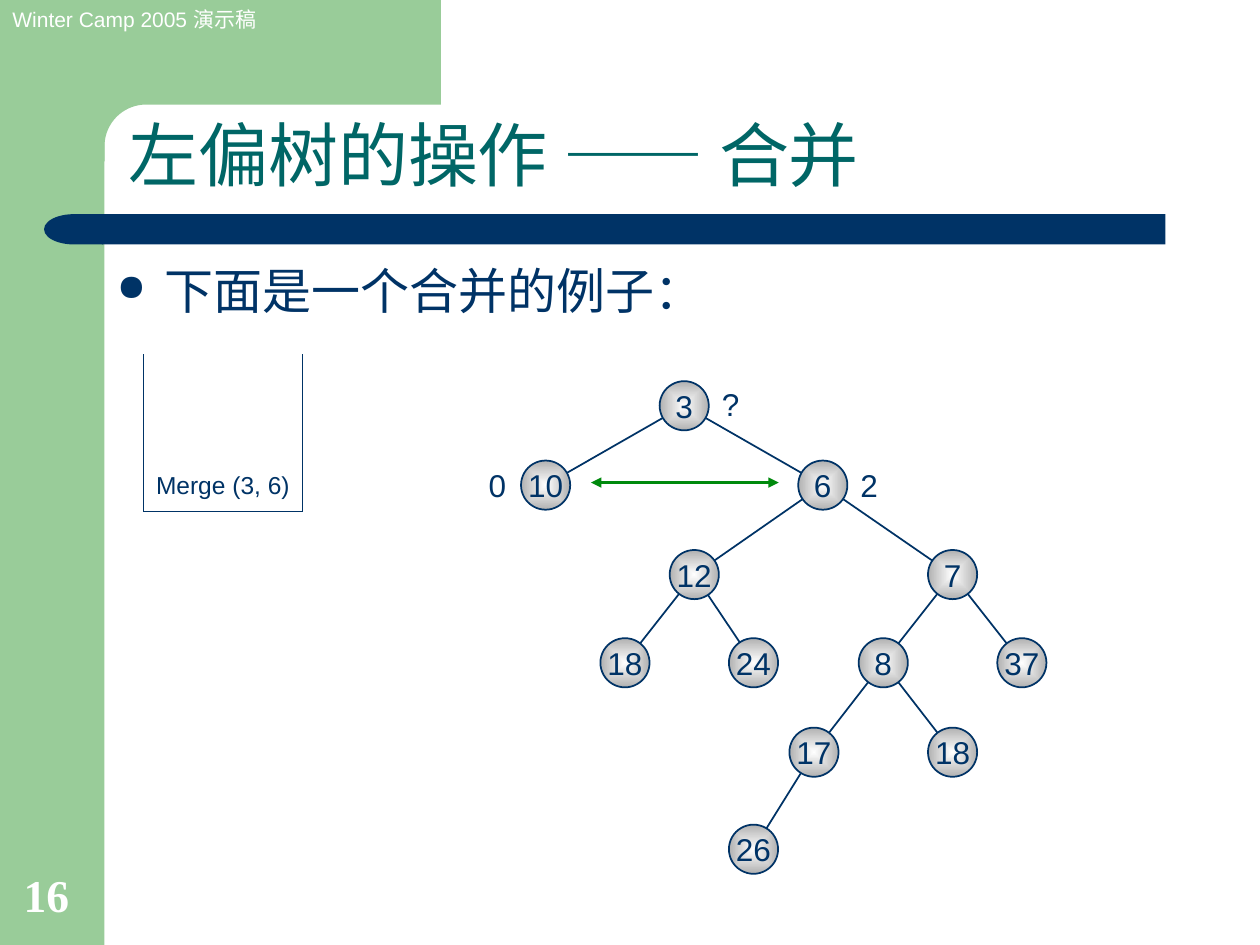
import math
from lxml import etree
from pptx import Presentation
from pptx.dml.color import RGBColor
from pptx.enum.shapes import MSO_CONNECTOR, MSO_SHAPE
from pptx.enum.text import MSO_ANCHOR, PP_ALIGN
from pptx.oxml.ns import qn
from pptx.util import Inches, Pt

STRAIGHT = MSO_CONNECTOR.STRAIGHT
OVAL = MSO_SHAPE.OVAL
TOP, MIDDLE, BOTTOM = MSO_ANCHOR.TOP, MSO_ANCHOR.MIDDLE, MSO_ANCHOR.BOTTOM
LEFT, CENTER = PP_ALIGN.LEFT, PP_ALIGN.CENTER
COLORS = {name: RGBColor.from_string(value) for name, value in {
    "green": "99CC99", "navy": "003366", "teal": "006666", "white": "FFFFFF",
    "gray": "B1B1B1", "arrow": "008A0D"}.items()}

deck = Presentation()
deck.slide_width, deck.slide_height = Inches(10), Inches(7.5)
page = deck.slides.add_slide(deck.slide_layouts[6])
shapes = page.shapes


def write(box, text, size, color="navy", align=LEFT, anchor=TOP, wrap=True,
          font="Arial", bold=False):
    frame = box.text_frame
    frame.word_wrap = wrap
    frame.vertical_anchor = anchor
    para = frame.paragraphs[0]
    para.alignment = align
    span = para.add_run()
    span.text = text
    span.font.size, span.font.name, span.font.bold = Pt(size), font, bold
    span.font.color.rgb = COLORS[color]
    return para


def connect(start, end, color="navy", width=1):
    line = shapes.add_connector(STRAIGHT, *[Inches(v) for v in (*start, *end)])
    line.line.color.rgb = COLORS[color]
    line.line.width = Pt(width)
    etree.SubElement(line._element.spPr, qn("a:effectLst"))
    return line


side_panel = shapes.add_shape(MSO_SHAPE.RECTANGLE, 0, 0, Inches(0.83), Inches(7.5))
radius = 0.33
arc = [(1.16 - radius * math.sin(math.radians(angle)),
        1.16 - radius * math.cos(math.radians(angle))) for angle in range(0, 91, 5)]
outline = [(3.5, 0), (3.5, 0.83), *arc, (0.83, 1.28), (0.5, 1.28)]
builder = shapes.build_freeform(Inches(0.5), 0)
builder.add_line_segments([(Inches(x), Inches(y)) for x, y in outline])
corner = builder.convert_to_shape()
bar = shapes.add_shape(MSO_SHAPE.ROUNDED_RECTANGLE, Inches(0.81), Inches(1.7),
                       Inches(8.44), Inches(0.24))
bar.adjustments[0] = 0
bar_end = shapes.add_shape(MSO_SHAPE.FLOWCHART_DELAY, Inches(0.35), Inches(1.7),
                           Inches(0.47), Inches(0.24))
bar_end._element.spPr.find(qn("a:xfrm")).set("flipH", "1")
for shape, color in ((side_panel, "green"), (corner, "green"),
                     (bar, "navy"), (bar_end, "navy")):
    shape.shadow.inherit = False
    shape.fill.solid()
    shape.fill.fore_color.rgb = COLORS[color]
    shape.line.fill.background()

header = shapes.add_textbox(0, 0, Inches(2.28), Inches(0.3))
write(header, "Winter Camp 2005 演示稿", 12, "white")
title = shapes.add_textbox(Inches(0.92), Inches(0.93), Inches(8.32), Inches(0.68))
write(title, "左偏树的操作 —— 合并", 40, "teal", anchor=BOTTOM).line_spacing = 0.9

body = shapes.add_textbox(Inches(0.83), Inches(2.02), Inches(8.43), Inches(4.88))
para = write(body, "下面是一个合并的例子：", 28)
para.space_before = Pt(7)
props = para._p.get_or_add_pPr()
props.set("marL", str(Inches(0.38)))
props.set("indent", str(-Inches(0.38)))
bullet_color = etree.SubElement(props, qn("a:buClr"))
etree.SubElement(bullet_color, qn("a:srgbClr"), val=str(COLORS["navy"]))
etree.SubElement(props, qn("a:buSzPct"), val="75000")
etree.SubElement(props, qn("a:buChar"), char="●")

merge_call = shapes.add_textbox(Inches(1.14), Inches(2.97), Inches(1.26), Inches(1.04))
write(merge_call, "Merge (3, 6)", 14, anchor=BOTTOM)
stack_corners = [(1.14, 2.81), (1.14, 4.06), (2.4, 4.06), (2.4, 2.81)]
for start, end in zip(stack_corners, stack_corners[1:]):
    connect(start, end, width=0.75)

for text, left, top, align in (("0", 3.78, 3.65, CENTER), ("2", 6.73, 3.65, CENTER),
                               ("?", 5.63, 3.01, LEFT)):
    distance = shapes.add_textbox(Inches(left), Inches(top), Inches(0.32), Inches(0.4))
    write(distance, text, 18, align=align)

# Each node: label, centre x, centre y, parent index
nodes = [("3", 5.43, 3.22, None), ("10", 4.33, 3.85, 0), ("6", 6.53, 3.85, 0),
         ("12", 5.51, 4.56, 2), ("7", 7.56, 4.56, 2), ("18", 4.96, 5.26, 3),
         ("24", 5.98, 5.26, 3), ("8", 7.01, 5.26, 4), ("37", 8.11, 5.26, 4),
         ("17", 6.46, 5.97, 7), ("18", 7.56, 5.97, 7), ("26", 5.98, 6.74, 9)]
for label, x, y, parent in nodes:
    if parent is not None:
        connect(nodes[parent][1:3], (x, y))

diameter = 0.39
for label, x, y, parent in nodes:
    node = shapes.add_shape(OVAL, Inches(x - diameter / 2), Inches(y - diameter / 2),
                            Inches(diameter), Inches(diameter))
    node.shadow.inherit = False
    node.line.color.rgb = COLORS["navy"]
    node.line.width = Pt(1)
    node.fill.gradient()
    for stop, color in zip(node.fill.gradient_stops, ("white", "gray")):
        stop.color.rgb = COLORS[color]
    gradient = node._element.spPr.find(qn("a:gradFill"))
    gradient.remove(gradient.find(qn("a:lin")))
    shading = etree.SubElement(gradient, qn("a:path"), path="rect")
    etree.SubElement(shading, qn("a:fillToRect"), l="50000", t="50000",
                     r="50000", b="50000")
    write(node, label, 18, align=CENTER, anchor=MIDDLE, wrap=False)

swap = connect((4.69, 3.83), (6.18, 3.83), "arrow", 1.5)
for tag in ("a:headEnd", "a:tailEnd"):
    etree.SubElement(swap.line._get_or_add_ln(), qn(tag), type="triangle")

number = shapes.add_textbox(Inches(0.09), Inches(6.83), Inches(0.64), Inches(0.53))
write(number, "16", 26, "white", anchor=BOTTOM, font="Times New Roman", bold=True)

deck.save("out.pptx")
